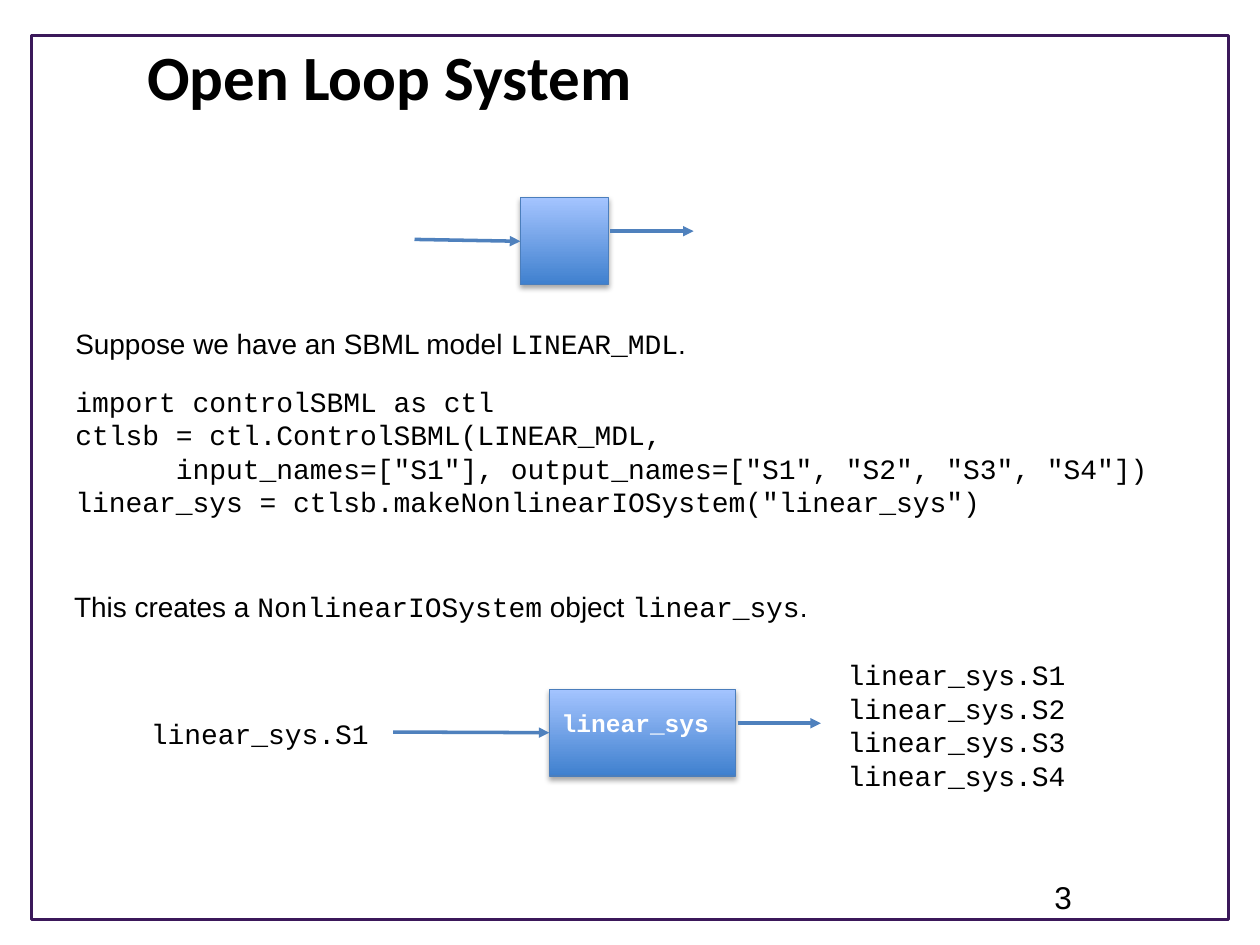
from dataclasses import dataclass

from lxml import etree
from pptx import Presentation
from pptx.dml.color import RGBColor
from pptx.enum.shapes import MSO_CONNECTOR, MSO_SHAPE
from pptx.enum.text import MSO_ANCHOR, PP_ALIGN
from pptx.oxml import parse_xml
from pptx.oxml.ns import nsdecls, qn
from pptx.util import Inches, Pt

RECTANGLE = MSO_SHAPE.RECTANGLE
STRAIGHT = MSO_CONNECTOR.STRAIGHT
TOP = MSO_ANCHOR.TOP
CENTER = PP_ALIGN.CENTER
LEFT_SIDE = 1

BLACK = RGBColor(0x00, 0x00, 0x00)
WHITE = RGBColor(0xFF, 0xFF, 0xFF)
FRAME_PURPLE = RGBColor(0x3B, 0x18, 0x5A)
BLOCK_DARK = RGBColor(0x3F, 0x80, 0xCE)
BLOCK_LIGHT = RGBColor(0xA4, 0xC4, 0xFF)
BLOCK_EDGE = RGBColor(0x4B, 0x7E, 0xBC)
ARROW_BLUE = RGBColor(0x4F, 0x81, 0xBD)

PROSE = "Arial"
CODE = "Courier New"

# The slide is a grid of 100 columns by 75 rows of square cells.
COLUMNS, ROWS = 100, 75
CELL = Inches(0.1)


def cells(*counts: float) -> list[int]:
    return [round(count * CELL) for count in counts]


@dataclass(frozen=True)
class Area:
    left: float
    top: float
    width: float
    height: float

    def lengths(self) -> list[int]:
        return cells(self.left, self.top, self.width, self.height)


@dataclass(frozen=True)
class TextBlock:
    area: Area
    lines: tuple[str, ...]
    font: str = CODE
    size: int = 16
    color: RGBColor = BLACK
    bold: bool = False


@dataclass(frozen=True)
class Sentence:
    """Prose and code pieces in turn, starting with prose."""
    area: Area
    pieces: tuple[str, ...]


@dataclass(frozen=True)
class System:
    """A block with an arrow into its left side and one out of its right."""
    block: Area
    input_left: float
    input_row: float
    output_row: float


SYSTEMS = (
    System(Area(41.3, 15.7, 7, 6.9), 32.9, 19, 18.35),
    System(Area(43.6, 54.7, 14.8, 6.9), 31.2, 58.1, 57.4),
)
OUTPUT_GAP, OUTPUT_LENGTH = 0.15, 6.6

SENTENCES = (
    Sentence(Area(5, 25.4, 52.7, 3.7),
             ("Suppose we have an SBML model ", "LINEAR_MDL", ".")),
    Sentence(Area(4.9, 46.3, 61.1, 3.7),
             ("This creates a ", "NonlinearIOSystem", " object ",
              "linear_sys", ".")),
)

TEXT_BLOCKS = (
    TextBlock(Area(82.7, 69.2, 5.6, 4), ("3",), PROSE, 18),
    TextBlock(Area(5, 30, 88.4, 11.8), (
        "import controlSBML as ctl",
        "ctlsb = ctl.ControlSBML(LINEAR_MDL,",
        '      input_names=["S1"], output_names=["S1", "S2", "S3", "S4"])',
        'linear_sys = ctlsb.makeNonlinearIOSystem("linear_sys")',
    )),
    TextBlock(Area(43.6, 55.7, 14.9, 3.4), ("linear_sys",),
              size=14, color=WHITE, bold=True),
    TextBlock(Area(11, 56.4, 22.6, 3.7), ("linear_sys.S1",)),
    TextBlock(Area(66.3, 51.7, 28, 11.8),
              tuple(f"linear_sys.S{number}" for number in range(1, 5))),
)


def format_font(font, name: str, size: int, color: RGBColor,
                bold: bool = False) -> None:
    font.name = name
    font.size = Pt(size)
    font.color.rgb = color
    font.bold = bold


def add_frame(slide) -> None:
    frame = slide.shapes.add_shape(
        RECTANGLE, *Area(2.5, 2.8, 95, 70.2).lengths())
    frame.shadow.inherit = False
    frame.fill.background()
    frame.line.color.rgb = FRAME_PURPLE
    frame.line.width = Pt(1.75)


def format_title(title) -> None:
    title.left, title.top, title.width, title.height = Area(
        5, 2.5, 51.8, 9.2).lengths()
    title.text_frame.text = "Open Loop System"
    title.text_frame.vertical_anchor = TOP
    paragraph = title.text_frame.paragraphs[0]
    paragraph.alignment = CENTER
    format_font(paragraph.font, "Calibri", 36, BLACK, True)


def add_text_frame(slide, area: Area):
    text_frame = slide.shapes.add_textbox(*area.lengths()).text_frame
    text_frame.word_wrap = True
    return text_frame


def add_text_block(slide, block: TextBlock) -> None:
    text_frame = add_text_frame(slide, block.area)
    text_frame.text = "\n".join(block.lines)
    for paragraph in text_frame.paragraphs:
        format_font(paragraph.font, block.font, block.size, block.color,
                    block.bold)


def add_sentence(slide, sentence: Sentence) -> None:
    paragraph = add_text_frame(slide, sentence.area).paragraphs[0]
    for index, piece in enumerate(sentence.pieces):
        run = paragraph.add_run()
        run.text = piece
        format_font(run.font, CODE if index % 2 else PROSE, 16, BLACK)


def add_block(slide, area: Area):
    block = slide.shapes.add_shape(RECTANGLE, *area.lengths())
    block.fill.gradient()
    block.fill.gradient_angle = 90
    for stop, color in zip(block.fill.gradient_stops,
                           (BLOCK_DARK, BLOCK_LIGHT)):
        stop.color.rgb = color
    block.line.color.rgb = BLOCK_EDGE
    block.line.width = Pt(0.75)
    block.shadow.inherit = False
    effects = block._element.spPr.find(qn("a:effectLst"))
    effects.append(parse_xml(
        f'<a:outerShdw {nsdecls("a")} blurRad="{Pt(3.1)}" dist="{Pt(1.8)}" '
        'dir="5400000" rotWithShape="0"><a:srgbClr val="000000">'
        '<a:alpha val="35000"/></a:srgbClr></a:outerShdw>'))
    return block


def add_arrow(slide, left: float, right: float, row: float):
    arrow = slide.shapes.add_connector(
        STRAIGHT, *cells(left, row, right, row))
    arrow.line.color.rgb = ARROW_BLUE
    arrow.line.width = Pt(2)
    etree.SubElement(arrow.line._get_or_add_ln(), qn("a:tailEnd"),
                     type="triangle")
    etree.SubElement(arrow._element.spPr, qn("a:effectLst"))
    return arrow


def add_system(slide, system: System) -> None:
    block = add_block(slide, system.block)
    arrow = add_arrow(slide, system.input_left, system.block.left,
                      system.input_row)
    arrow.end_connect(block, LEFT_SIDE)
    output_left = system.block.left + system.block.width + OUTPUT_GAP
    add_arrow(slide, output_left, output_left + OUTPUT_LENGTH,
              system.output_row)


def main() -> None:
    presentation = Presentation()
    presentation.slide_width, presentation.slide_height = cells(COLUMNS, ROWS)
    slide = presentation.slides.add_slide(presentation.slide_layouts[5])
    add_frame(slide)
    format_title(slide.shapes.title)
    for system in SYSTEMS:
        add_system(slide, system)
    for sentence in SENTENCES:
        add_sentence(slide, sentence)
    for block in TEXT_BLOCKS:
        add_text_block(slide, block)
    presentation.save("out.pptx")


if __name__ == "__main__":
    main()
